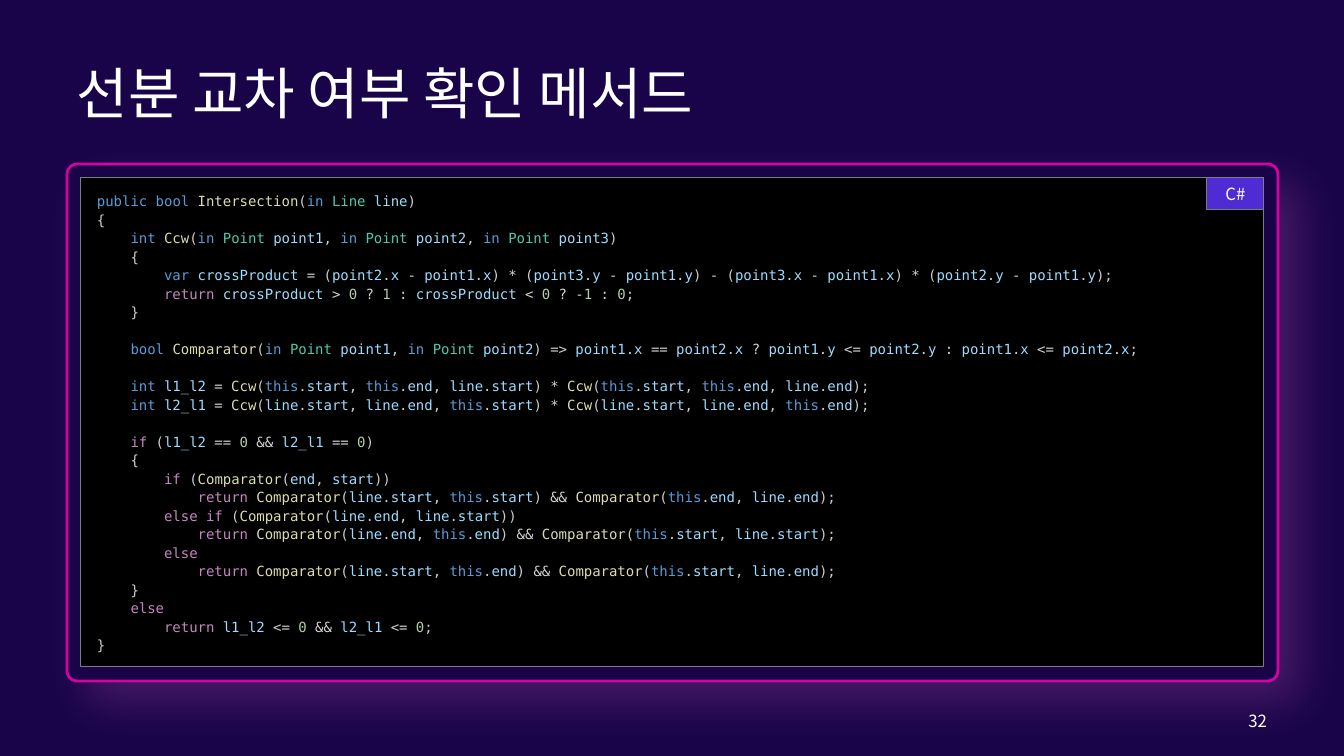
from itertools import groupby

from lxml import etree
from pptx import Presentation
from pptx import util as u
from pptx.dml.color import RGBColor
from pptx.enum import shapes, text
from pptx.oxml import ns

PX = u.Inches(1) / 100.8

NIGHT = RGBColor(0x19, 0x04, 0x49)
MAGENTA = RGBColor(0xD6, 0x00, 0xA4)
GLOW = RGBColor(0xE5, 0x66, 0xCC)
VIOLET = RGBColor(0x4F, 0x2B, 0xD3)
BLACK = RGBColor(0x00, 0x00, 0x00)
GREY = RGBColor(0x7D, 0x7D, 0x7D)
WHITE = RGBColor(0xFF, 0xFF, 0xFF)

KEYWORD = RGBColor(0x56, 0x9C, 0xD6)
CONTROL = RGBColor(0xC5, 0x86, 0xC0)
METHOD = RGBColor(0xDC, 0xDC, 0xAA)
CLASS = RGBColor(0x4E, 0xC9, 0xB0)
VARIABLE = RGBColor(0x9C, 0xDC, 0xFE)
NUMBER = RGBColor(0xB5, 0xCE, 0xA8)
OPERATOR = RGBColor(0xD4, 0xD4, 0xD4)
PUNCTUATION = RGBColor(0xCC, 0xCC, 0xCC)

WORD_COLOURS = {
    **dict.fromkeys(("public", "bool", "in", "int", "var", "this"), KEYWORD),
    **dict.fromkeys(("return", "if", "else"), CONTROL),
    **dict.fromkeys(("Intersection", "Ccw", "Comparator"), METHOD),
    **dict.fromkeys(("Line", "Point"), CLASS),
}

SANS = "Noto Sans CJK KR"
MONO = "DejaVu Sans Mono"
CODE_SIZE = 10
CODE_SPACING = 1.1
BLANK_LINE = 13.2

CODE_LINES = (
    "public bool Intersection(in Line line)",
    "{",
    "    int Ccw(in Point point1, in Point point2, in Point point3)",
    "    {",
    "        var crossProduct = (point2.x - point1.x) * (point3.y - point1.y) - (point3.x - point1.x) * (point2.y - point1.y);",
    "        return crossProduct > 0 ? 1 : crossProduct < 0 ? -1 : 0;",
    "    }",
    "",
    "    bool Comparator(in Point point1, in Point point2) => point1.x == point2.x ? point1.y <= point2.y : point1.x <= point2.x;",
    "",
    "    int l1_l2 = Ccw(this.start, this.end, line.start) * Ccw(this.start, this.end, line.end);",
    "    int l2_l1 = Ccw(line.start, line.end, this.start) * Ccw(line.start, line.end, this.end);",
    "",
    "    if (l1_l2 == 0 && l2_l1 == 0)",
    "    {",
    "        if (Comparator(end, start))",
    "            return Comparator(line.start, this.start) && Comparator(this.end, line.end);",
    "        else if (Comparator(line.end, line.start))",
    "            return Comparator(line.end, this.end) && Comparator(this.start, line.start);",
    "        else",
    "            return Comparator(line.start, this.end) && Comparator(this.start, line.end);",
    "    }",
    "    else",
    "        return l1_l2 <= 0 && l2_l1 <= 0;",
    "}",
)


def px(*lengths):
    return [u.Emu(round(length * PX)) for length in lengths]


def char_kind(char):
    if char.isalnum() or char == "_":
        return "word"
    if char == " ":
        return "space"
    return "operator" if char in "=-*<>?:&" else "punctuation"


def token_colour(kind, token):
    if kind == "word":
        return NUMBER if token[0].isdigit() else WORD_COLOURS.get(token, VARIABLE)
    return OPERATOR if kind == "operator" else PUNCTUATION


def coloured_runs(line):
    runs = []
    for kind, chars in groupby(line, char_kind):
        token = "".join(chars)
        colour = token_colour(kind, token)
        if runs and (kind == "space" or runs[-1][1] == colour):
            runs[-1][0] += token
        else:
            runs.append([token, colour])
    return runs


def style(paragraph, face, size, colour):
    font = paragraph.font
    font.name, font.size = face, u.Pt(size)
    font.color.rgb = colour
    defaults = paragraph._p.pPr.find(ns.qn("a:defRPr"))
    etree.SubElement(defaults, ns.qn("a:ea"), typeface=face)


def set_frame(shape, inset_x, inset_y):
    frame = shape.text_frame
    frame.word_wrap = True
    frame.vertical_anchor = text.MSO_ANCHOR.MIDDLE
    frame.margin_left, frame.margin_right = px(inset_x, inset_x)
    frame.margin_top, frame.margin_bottom = px(inset_y, inset_y)
    return frame


def add_label(shape, words, size, align, inset=0):
    paragraph = set_frame(shape, inset, inset // 2).paragraphs[0]
    paragraph.text = words
    paragraph.alignment = align
    style(paragraph, SANS, size, WHITE)


def add_box(slide, kind, bounds, fill, line, width):
    box = slide.shapes.add_shape(kind, *px(*bounds))
    box.shadow.inherit = False
    box.fill.solid()
    box.fill.fore_color.rgb = fill
    box.line.color.rgb = line
    box.line.width = u.Pt(width)
    return box


def add_glow(box):
    effects = box._element.spPr.find(ns.qn("a:effectLst"))
    shadow = etree.SubElement(
        effects, ns.qn("a:outerShdw"), blurRad=str(u.Pt(32)), dist=str(u.Pt(21)),
        dir=str(45 * 60000), algn="tl", rotWithShape="0")
    colour = etree.SubElement(shadow, ns.qn("a:srgbClr"), val=str(GLOW))
    etree.SubElement(colour, ns.qn("a:alpha"), val="22000")


def add_code(panel):
    frame = set_frame(panel, 16, 12)
    after_blank = False
    paragraph = frame.paragraphs[0]
    for number, line in enumerate(CODE_LINES):
        if not line:
            after_blank = True
            continue
        if number:
            paragraph = frame.add_paragraph()
        paragraph.alignment = text.PP_ALIGN.LEFT
        paragraph.line_spacing = CODE_SPACING
        if after_blank:
            paragraph.space_before = u.Pt(BLANK_LINE)
        after_blank = False
        style(paragraph, MONO, CODE_SIZE, PUNCTUATION)
        for words, colour in coloured_runs(line):
            run = paragraph.add_run()
            run.text = words
            run.font.color.rgb = colour


def main():
    deck = Presentation()
    deck.slide_width, deck.slide_height = px(1344, 756)
    slide = deck.slides.add_slide(deck.slide_layouts[6])
    slide.background.fill.solid()
    slide.background.fill.fore_color.rgb = NIGHT
    preset = shapes.MSO_SHAPE
    align = text.PP_ALIGN

    border = add_box(slide, preset.ROUNDED_RECTANGLE, (67, 164, 1211, 517), NIGHT, MAGENTA, 2)
    border.adjustments[0] = 0.02
    add_glow(border)

    title = slide.shapes.add_textbox(*px(67, 40, 1211, 104))
    add_label(title, "선분 교차 여부 확인 메서드", 40, align.LEFT, 10)
    page = slide.shapes.add_textbox(*px(1120, 701, 157, 40))
    add_label(page, "32", 12, align.RIGHT, 10)

    panel = add_box(slide, preset.RECTANGLE, (81, 178, 1183, 489), BLACK, GREY, 0.75)
    add_code(panel)
    language = add_box(slide, preset.RECTANGLE, (1207, 178, 57, 32), VIOLET, GREY, 0.75)
    add_label(language, "C#", 12, align.CENTER)

    deck.save("out.pptx")


if __name__ == "__main__":
    main()
